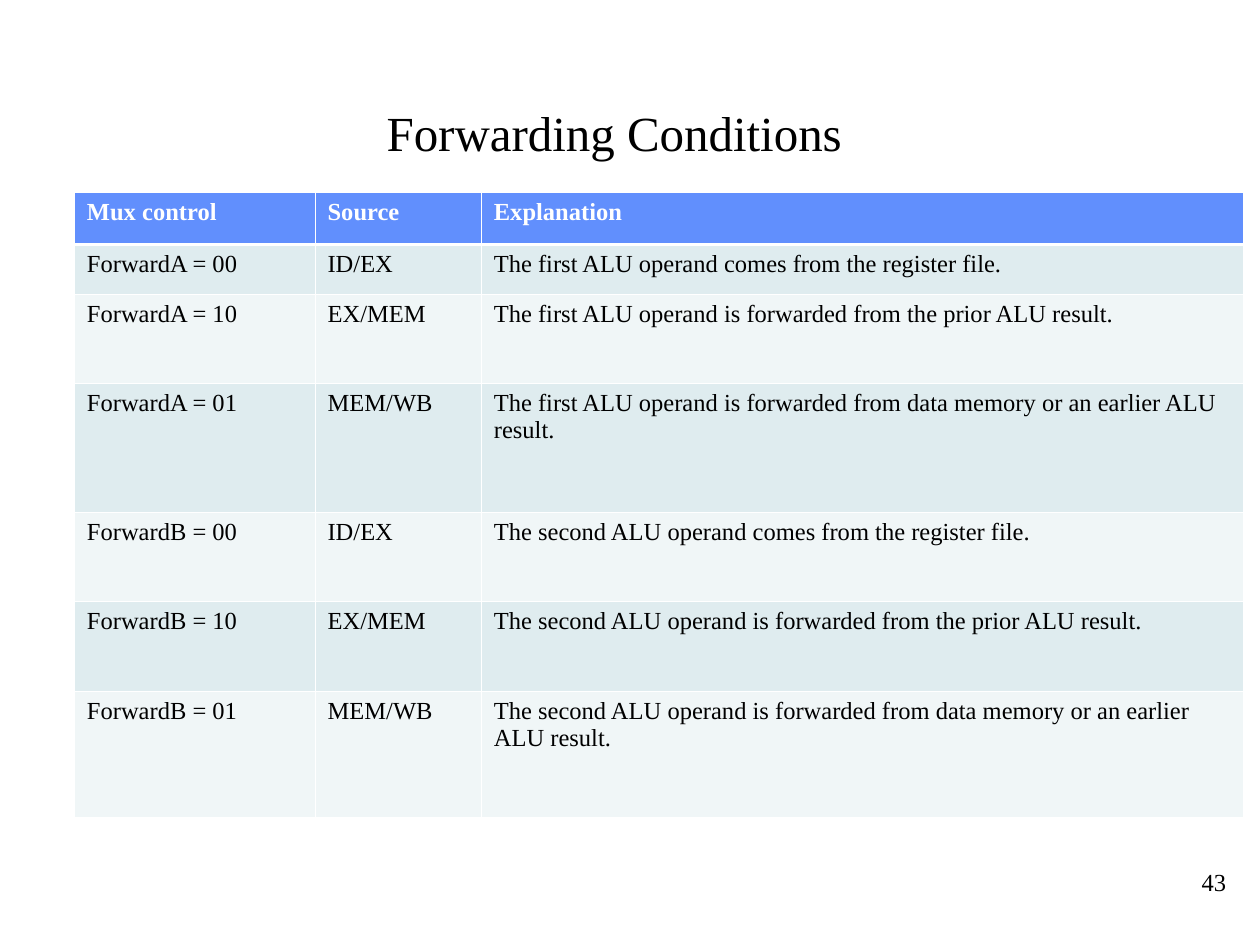
from dataclasses import dataclass

from lxml.etree import SubElement
from pptx import Presentation
from pptx.dml.color import RGBColor
from pptx.enum.text import MSO_ANCHOR, PP_ALIGN
from pptx.oxml.ns import qn
from pptx.util import Inches, Pt


@dataclass(frozen=True)
class Theme:
    font: str = "Times New Roman"
    title_size: int = 28
    body_size: int = 14
    ink: str = "000000"
    paper: str = "FFFFFF"
    header: str = "618FFD"
    bands: tuple = ("DFECEF", "F0F6F7")
    grid_line: float = 0.45
    header_line: float = 1.47


THEME = Theme()
COLUMN_WIDTHS = (1.91, 1.32, 6.05)
ROW_HEIGHTS = (0.41, 0.4, 0.7, 1.03, 0.7, 0.72, 1)
CONDITIONS = (
    ("Mux control", "Source", "Explanation"),
    ("ForwardA = 00", "ID/EX", "The first ALU operand comes from the register file."),
    ("ForwardA = 10", "EX/MEM", "The first ALU operand is forwarded from the prior ALU result."),
    ("ForwardA = 01", "MEM/WB",
     "The first ALU operand is forwarded from data memory or an earlier ALU result."),
    ("ForwardB = 00", "ID/EX", "The second ALU operand comes from the register file."),
    ("ForwardB = 10", "EX/MEM", "The second ALU operand is forwarded from the prior ALU result."),
    ("ForwardB = 01", "MEM/WB",
     "The second ALU operand is forwarded from data memory or an earlier ALU result."),
)


def write_text(frame, text, size=THEME.body_size, color=THEME.ink, bold=False,
               align=PP_ALIGN.LEFT, anchor=MSO_ANCHOR.TOP):
    frame.word_wrap = True
    frame.vertical_anchor = anchor
    paragraph = frame.paragraphs[0]
    paragraph.alignment = align
    run = paragraph.add_run()
    run.text = text
    run.font.name = THEME.font
    run.font.size = Pt(size)
    run.font.bold = bold
    run.font.color.rgb = RGBColor.from_string(color)


def set_borders(cell, **widths):
    properties = cell._tc.get_or_add_tcPr()
    for position, side in enumerate(("L", "R", "T", "B")):
        width = Pt(widths.get(side, THEME.grid_line))
        border = properties.makeelement(qn(f"a:ln{side}"), {"w": str(width)})
        fill = SubElement(border, qn("a:solidFill"))
        SubElement(fill, qn("a:srgbClr"), val=THEME.paper)
        properties.insert(position, border)


def add_title(slide, left, top, width, height):
    title = slide.shapes.title
    title.left, title.top, title.width, title.height = left, top, width, height
    write_text(title.text_frame, "Forwarding Conditions", size=THEME.title_size,
               align=PP_ALIGN.CENTER, anchor=MSO_ANCHOR.BOTTOM)


def add_conditions(slide, left, top, width, height):
    table = slide.shapes.add_table(
        len(CONDITIONS), len(COLUMN_WIDTHS), left, top, width, height).table
    for column, column_width in zip(table.columns, COLUMN_WIDTHS):
        column.width = Inches(column_width)
    for row, row_height in zip(table.rows, ROW_HEIGHTS):
        row.height = Inches(row_height)
    for row_index, condition in enumerate(CONDITIONS):
        is_header = row_index == 0
        background = THEME.header if is_header else THEME.bands[(row_index - 1) % 2]
        heavy_sides = {0: "B", 1: "T"}.get(row_index, "")
        for column_index, text in enumerate(condition):
            cell = table.cell(row_index, column_index)
            cell.fill.solid()
            cell.fill.fore_color.rgb = RGBColor.from_string(background)
            write_text(cell.text_frame, text, bold=is_header,
                       color=THEME.paper if is_header else THEME.ink)
            set_borders(cell, **{side: THEME.header_line for side in heavy_sides})


def add_page_number(slide, left, top, width, height):
    page_number = slide.shapes.add_textbox(left, top, width, height)
    write_text(page_number.text_frame, "43", align=PP_ALIGN.RIGHT)


def main():
    deck = Presentation()
    deck.slide_width, deck.slide_height = Inches(10), Inches(7.5)
    slide = deck.slides.add_slide(deck.slide_layouts[5])
    add_title(slide, Inches(0.75), Inches(0.33), Inches(8.25), Inches(1))
    add_conditions(slide, Inches(0.59), Inches(1.53),
                   Inches(sum(COLUMN_WIDTHS)), Inches(sum(ROW_HEIGHTS)))
    add_page_number(slide, Inches(7.5), Inches(6.83), Inches(2.33), Inches(0.52))
    deck.save("out.pptx")


if __name__ == "__main__":
    main()
